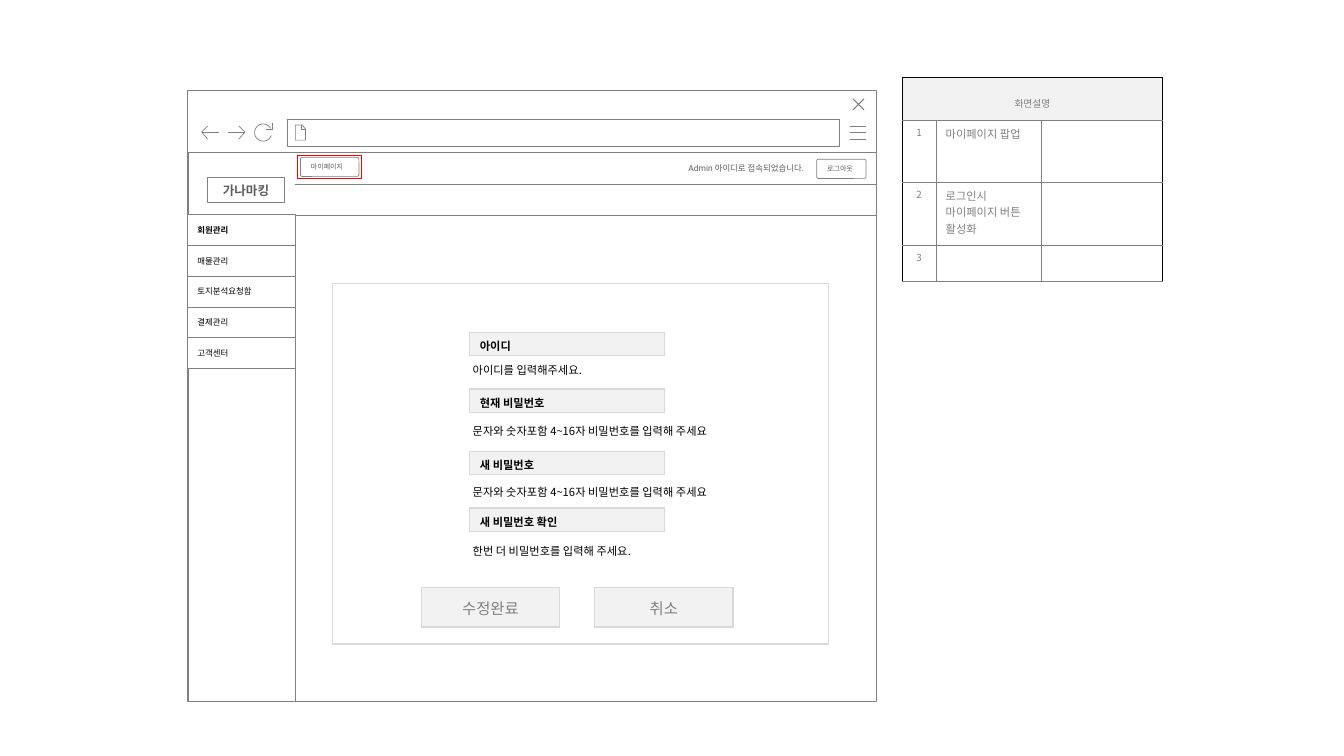
from dataclasses import dataclass
from math import cos, radians, sin

from lxml import etree
from pptx import Presentation
from pptx.dml.color import RGBColor
from pptx.enum.shapes import MSO_CONNECTOR, MSO_SHAPE
from pptx.enum.text import MSO_ANCHOR, PP_ALIGN
from pptx.oxml.ns import qn
from pptx.util import Inches, Pt

RECT, ROUND = MSO_SHAPE.RECTANGLE, MSO_SHAPE.ROUNDED_RECTANGLE
STRAIGHT = MSO_CONNECTOR.STRAIGHT
LEFT, CENTER = PP_ALIGN.LEFT, PP_ALIGN.CENTER
TOP, MIDDLE = MSO_ANCHOR.TOP, MSO_ANCHOR.MIDDLE


@dataclass(frozen=True)
class Theme:
    white: str = "FFFFFF"
    black: str = "000000"
    line: str = "808080"
    muted: str = "5F5F5F"
    panel: str = "F2F2F2"
    panel_edge: str = "D9D9D9"
    marker: str = "FF0000"
    ui_font: str = "Roboto"
    form_font: str = "Arial"
    note_font: str = "Noto Sans CJK KR"
    tiny: float = 5
    small: float = 6
    label: float = 7
    body: float = 8
    brand: float = 9
    button: float = 11


THEME = Theme()


def rgb(value):
    return RGBColor.from_string(value)


def write(frame, text, font, size, color, bold=False, align=LEFT):
    frame.text = text
    paragraph = frame.paragraphs[0]
    paragraph.alignment = align
    for run in paragraph.runs:
        run.font.name, run.font.size = font, Pt(size)
        run.font.bold, run.font.color.rgb = bold, rgb(color)


def outline(shape, color=THEME.line, width=0.5):
    shape.line.color.rgb = rgb(color)
    shape.line.width = Pt(width)


def add_box(slide, left, top, width, height, kind=RECT):
    box = slide.shapes.add_shape(kind, Inches(left), Inches(top), Inches(width), Inches(height))
    box.shadow.inherit = False
    box.fill.solid()
    box.fill.fore_color.rgb = rgb(THEME.white)
    outline(box)
    box.text_frame.vertical_anchor = MIDDLE
    return box


def add_rule(slide, x1, y1, x2, y2):
    rule = slide.shapes.add_connector(STRAIGHT, Inches(x1), Inches(y1), Inches(x2), Inches(y2))
    outline(rule)
    etree.SubElement(rule._element.spPr, qn("a:effectLst"))


def add_icon(slide, left, top, strokes, width=0.5):
    """Draw open strokes, each a list of points relative to left and top."""
    strokes = [[(Inches(left + x), Inches(top + y)) for x, y in stroke] for stroke in strokes]
    builder = slide.shapes.build_freeform(*strokes[0][0])
    for index, stroke in enumerate(strokes):
        if index:
            builder.move_to(*stroke[0])
        builder.add_line_segments(stroke[1:], close=False)
    icon = builder.convert_to_shape()
    icon.shadow.inherit = False
    icon.fill.background()
    outline(icon, width=width)


def add_grid(slide, left, top, columns, rows):
    frame = slide.shapes.add_table(len(rows), len(columns), Inches(left), Inches(top),
                                   Inches(sum(columns)), Inches(sum(rows)))
    grid = frame.table
    grid.first_row = grid.horz_banding = False
    for column, width in zip(grid.columns, columns):
        column.width = Inches(width)
    for row, height in zip(grid.rows, rows):
        row.height = Inches(height)
    return grid


def style_cell(cell, fill, edges, width):
    """Edges are the colours of left, right, top and bottom."""
    properties = cell._tc.get_or_add_tcPr()
    for side, color in zip("LRTB", edges):
        edge = etree.SubElement(properties, qn("a:ln" + side), w=str(Pt(width)))
        solid = etree.SubElement(edge, qn("a:solidFill"))
        etree.SubElement(solid, qn("a:srgbClr"), val=color)
    cell.fill.solid()
    cell.fill.fore_color.rgb = rgb(fill)


def add_panel(slide, left, top, width, height, fill):
    cell = add_grid(slide, left, top, [width], [height]).cell(0, 0)
    style_cell(cell, fill, [THEME.panel_edge] * 4, 1)
    return cell


def draw_browser(slide, left, top, width, height):
    bar = 0.61
    add_box(slide, left, top + bar, width, height - bar)
    add_box(slide, left, top, width, bar)
    add_box(slide, left + 0.99, top + 0.28, 5.48, 0.27)

    # Menu and close icons
    add_icon(slide, left + 6.57, top + 0.35, [[(0, y), (0.16, y)] for y in (0, 0.06, 0.13)])
    add_icon(slide, left + 6.6, top + 0.08,
             [[(0, 0), (0.11, 0.11)], [(0.11, 0), (0, 0.11)]], 0.75)
    # Page, back, forward and reload icons
    add_icon(slide, left + 1.07, top + 0.34, [
        [(0.06, 0), (0.06, 0.04), (0.1, 0.04)],
        [(0, 0), (0, 0.15), (0.1, 0.15), (0.1, 0.04), (0.07, 0), (0, 0)]])
    arrow = [[(0.06, 0.13), (0, 0.06), (0.06, 0)], [(0, 0.06), (0.17, 0.06)]]
    add_icon(slide, left + 0.14, top + 0.35, arrow)
    add_icon(slide, left + 0.4, top + 0.35,
             [[(0.17 - x, y) for x, y in stroke] for stroke in arrow])
    arc = [(0.08 + 0.085 * cos(radians(a)), 0.095 + 0.085 * sin(radians(a)))
           for a in range(20, 331, 10)]
    add_icon(slide, left + 0.67, top + 0.32, [[(0.17, 0), (0.17, 0.06), (0.11, 0.06)], arc])


def draw_header(slide, left, top, width):
    add_rule(slide, left + 1.07, top + 0.32, left + width, top + 0.32)
    add_rule(slide, left, top + 0.63, left + width, top + 0.63)

    brand = add_box(slide, left + 0.2, top + 0.25, 0.76, 0.25)
    write(brand.text_frame, "가나마킹", THEME.ui_font, THEME.brand, THEME.muted, True, CENTER)

    for text, x, y, button_width in (("로그아웃", 6.24, 0.07, 0.49), ("마이페이지", 1.12, 0.05, 0.58)):
        button = add_box(slide, left + x, top + y, button_width, 0.19, ROUND)
        button.adjustments[0] = 0.09
        button.text_frame.word_wrap = False
        write(button.text_frame, text, THEME.ui_font, THEME.tiny, THEME.muted)

    status = slide.shapes.add_textbox(Inches(left + 4.87), Inches(top + 0.06),
                                      Inches(1.43), Inches(0.2))
    status.text_frame.word_wrap = False
    write(status.text_frame, "Admin 아이디로 접속되었습니다.", THEME.ui_font, THEME.small, THEME.muted)

    # Highlight around the my-page button
    marker = add_box(slide, left + 1.09, top + 0.03, 0.64, 0.23)
    marker.fill.background()
    outline(marker, THEME.marker, 0.75)


def draw_sidebar(slide, left, top, width, height):
    add_rule(slide, left + 0.01, top - 0.61, left + 0.01, top + height)
    add_rule(slide, left + width, top, left + width, top + height)
    pitch = 0.305
    for index, item in enumerate(("회원관리", "매물관리", "토지분석요청함", "결제관리", "고객센터")):
        entry = add_box(slide, left, top + index * pitch, width, pitch)
        entry.text_frame.margin_right = Inches(0.2)
        write(entry.text_frame, item, THEME.ui_font, THEME.small, THEME.black, index == 0)


def draw_form(slide, left, top, width, height):
    add_panel(slide, left, top, width, height, THEME.white)
    password_hint = "문자와 숫자포함 4~16자 비밀번호를 입력해 주세요"
    fields = (("아이디", 0.49, "아이디를 입력해주세요.", 0.75),
              ("현재 비밀번호", 1.05, password_hint, 1.35),
              ("새 비밀번호", 1.67, password_hint, 1.96),
              ("새 비밀번호 확인", 2.23, "한번 더 비밀번호를 입력해 주세요.", 2.54))
    for label, label_y, hint, hint_y in fields:
        cell = add_panel(slide, left + 1.36, top + label_y, 1.93, 0.23, THEME.panel)
        cell.margin_bottom = Inches(0.01)
        write(cell.text_frame, label, THEME.form_font, THEME.body, THEME.black, True)
        note = slide.shapes.add_textbox(Inches(left + 1.29), Inches(top + hint_y),
                                        Inches(2.88), Inches(0.24))
        note.text_frame.word_wrap = True
        write(note.text_frame, hint, THEME.note_font, THEME.body, THEME.black)

    for text, x in (("수정완료", 0.88), ("취소", 2.6)):
        cell = add_panel(slide, left + x, top + 3.02, 1.37, 0.39, THEME.panel)
        cell.vertical_anchor = MIDDLE
        write(cell.text_frame, text, THEME.form_font, THEME.button, THEME.line, align=CENTER)


def draw_description(slide, left, top):
    notes = ("마이페이지 팝업", "로그인시 마이페이지 버튼 활성화", "")
    grid = add_grid(slide, left, top, [0.33, 1.05, 1.2], [0.42, 0.62, 0.62, 0.36])
    title = grid.cell(0, 0)
    title.merge(grid.cell(0, 2))
    for column in range(3):
        style_cell(grid.cell(0, column), THEME.panel,
                   [THEME.black, THEME.black, THEME.black, THEME.line], 0.25)
    title.margin_top, title.margin_bottom = Inches(0.18), Inches(0.03)
    write(title.text_frame, "화면설명", THEME.note_font, THEME.label, THEME.line, align=CENTER)

    for row, note in enumerate(notes, 1):
        texts = ((str(row), THEME.label, CENTER), (note, THEME.body, LEFT), ("", THEME.body, LEFT))
        for column, (text, size, align) in enumerate(texts):
            cell = grid.cell(row, column)
            style_cell(cell, THEME.white,
                       [THEME.line if column else THEME.black,
                        THEME.black if column == 2 else THEME.line, THEME.line, THEME.line], 0.25)
            cell.vertical_anchor = TOP
            if text:
                write(cell.text_frame, text, THEME.note_font, size, THEME.line, align=align)
            else:
                cell.margin_top = cell.margin_bottom = 0


deck = Presentation()
deck.slide_width, deck.slide_height = Inches(13.33), Inches(7.5)
page = deck.slides.add_slide(deck.slide_layouts[6])
draw_browser(page, 1.86, 0.9, 6.83, 6.06)
draw_description(page, 8.95, 0.77)
draw_header(page, 1.86, 1.51, 6.83)
draw_sidebar(page, 1.86, 2.13, 1.07, 4.83)
draw_form(page, 3.3, 2.81, 4.92, 3.58)
deck.save("out.pptx")
